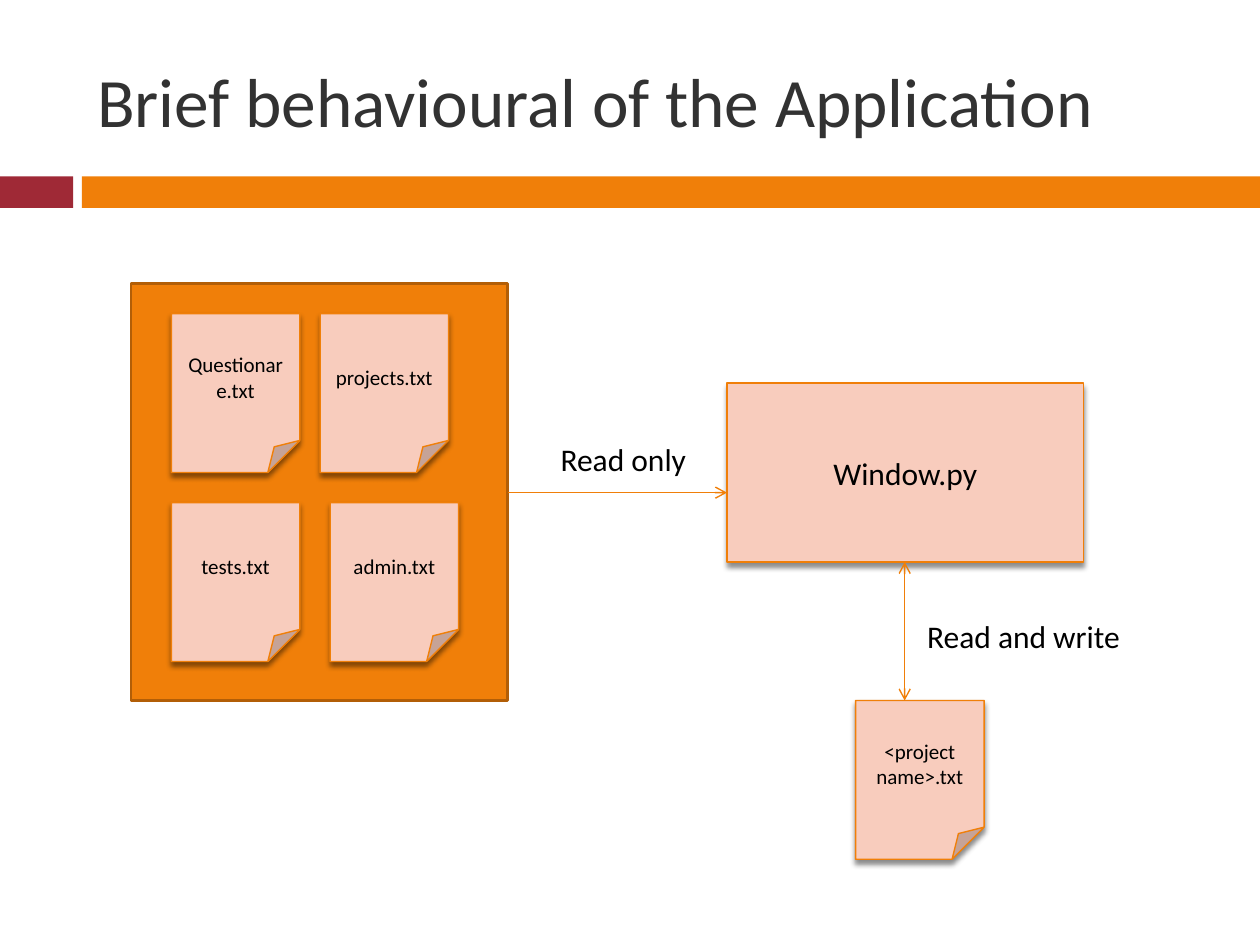
"""Builds the slide that shows which files the application reads and writes."""
import pptx
import pptx.dml.color
import pptx.enum.shapes
import pptx.enum.text
import pptx.oxml
import pptx.oxml.ns
import pptx.util

Inches = pptx.util.Inches
Pt = pptx.util.Pt
SHAPES = pptx.enum.shapes.MSO_SHAPE
ALIGN = pptx.enum.text.PP_ALIGN
ANCHOR = pptx.enum.text.MSO_ANCHOR
AUTO_SIZE = pptx.enum.text.MSO_AUTO_SIZE
NAMESPACE = pptx.oxml.ns.nsdecls("a")

ORANGE, DARK_ORANGE, RED = "F07F09", "B25E07", "9F2936"
PEACH, BLACK, GREY = "F8CCBD", "000000", "323232"
THIN = 0.79
NOTE_WIDTH, NOTE_HEIGHT = 1.02, 1.26


def color(value):
    """Turn a hex string into a colour."""
    return pptx.dml.color.RGBColor.from_string(value)


def apply(target, formats):
    """Set each attribute named in a dict of format values."""
    for name, value in formats.items():
        setattr(target, name, value)


def write(box, text, size, shade=BLACK, align=ALIGN.LEFT, **frame_formats):
    """Put one formatted paragraph into a shape."""
    apply(box.text_frame, frame_formats)
    para = box.text_frame.paragraphs[0]
    para.alignment = align
    span = para.add_run()
    span.text = text
    apply(span.font, {"name": "Calibri", "size": Pt(size)})
    span.font.color.rgb = color(shade)


def add_block(page, place, fill, line=None, width=THIN, kind=SHAPES.RECTANGLE):
    """Add a filled preset shape without a shadow."""
    block = page.shapes.add_shape(kind, *map(Inches, place))
    block.shadow.inherit = False
    block.fill.solid()
    block.fill.fore_color.rgb = color(fill)
    if line:
        block.line.color.rgb = color(line)
        block.line.width = Pt(width)
    else:
        block.line.fill.background()
    return block


def add_shadow(block):
    """Give a shape a soft shadow straight below it."""
    effects = block._element.spPr.find(pptx.oxml.ns.qn("a:effectLst"))
    effects.append(pptx.oxml.parse_xml(
        f'<a:outerShdw {NAMESPACE} blurRad="{Pt(3)}" dist="{Pt(2.4)}" '
        'dir="5400000" algn="ctr" rotWithShape="0"><a:srgbClr val="000000">'
        '<a:alpha val="45000"/></a:srgbClr></a:outerShdw>'))


def add_card(page, text, place, size, kind=SHAPES.RECTANGLE):
    """Add a peach card with centred text and a shadow."""
    card = add_block(page, place, PEACH, ORANGE, kind=kind)
    add_shadow(card)
    write(card, text, size, align=ALIGN.CENTER, word_wrap=True,
          vertical_anchor=ANCHOR.MIDDLE)
    return card


def add_note(page, text, left, top):
    """Add a file drawn as a sheet with a folded corner."""
    note = add_card(page, text, (left, top, NOTE_WIDTH, NOTE_HEIGHT), 12,
                    SHAPES.FOLDED_CORNER)
    geometry = note._element.spPr.find(pptx.oxml.ns.qn("a:prstGeom"))
    for values in list(geometry):
        geometry.remove(values)
    geometry.append(pptx.oxml.parse_xml(
        f'<a:avLst {NAMESPACE}><a:gd name="adj" fmla="val 24900"/></a:avLst>'))


def add_arrow(page, start, end, heads):
    """Add a straight connector with open arrowheads at the named ends."""
    arrow = page.shapes.add_connector(pptx.enum.shapes.MSO_CONNECTOR.STRAIGHT,
                                      *map(Inches, start + end))
    arrow.line.color.rgb = color(ORANGE)
    arrow.line.width = Pt(THIN)
    line = arrow.line._get_or_add_ln()
    for head in heads:
        line.append(pptx.oxml.parse_xml(f'<a:{head} {NAMESPACE} type="arrow"/>'))
    arrow._element.spPr.append(pptx.oxml.parse_xml(f'<a:effectLst {NAMESPACE}/>'))


def add_label(page, text, place):
    """Add a one-line text box beside an arrow."""
    label = page.shapes.add_textbox(*map(Inches, place))
    write(label, text, 18, word_wrap=False, auto_size=AUTO_SIZE.SHAPE_TO_FIT_TEXT)


def add_title(page, text):
    """Place and format the title placeholder."""
    title = page.shapes.title
    apply(title, {"left": Inches(0.67), "top": Inches(0.25),
                  "width": Inches(8.92), "height": Inches(1.08)})
    write(title, text, 39.6, GREY, word_wrap=True, auto_size=AUTO_SIZE.NONE,
          vertical_anchor=ANCHOR.MIDDLE)


def main():
    """Build and save the deck."""
    deck = pptx.Presentation()
    apply(deck, {"slide_width": Inches(10), "slide_height": Inches(7.5)})
    page = deck.slides.add_slide(deck.slide_layouts[5])

    add_block(page, (0, 1.4, 0.58, 0.25), RED)
    add_block(page, (0.65, 1.4, 9.35, 0.25), ORANGE)
    add_title(page, "Brief behavioural of the Application")

    add_block(page, (1.04, 2.25, 2.99, 3.31), ORANGE, DARK_ORANGE, 1.5)
    add_card(page, "Window.py", (5.77, 3.04, 2.83, 1.42), 18)
    for text, left, top in (("Questionare.txt", 1.36, 2.49),
                            ("projects.txt", 2.54, 2.49),
                            ("tests.txt", 1.36, 3.99),
                            ("admin.txt", 2.62, 3.99),
                            ("<project name>.txt", 6.79, 5.56)):
        add_note(page, text, left, top)

    add_arrow(page, (4.03, 3.91), (5.77, 3.91), ["tailEnd"])
    add_label(page, "Read only", (4.35, 3.44, 1.21, 0.4))
    add_arrow(page, (7.18, 4.46), (7.18, 5.56), ["headEnd", "tailEnd"])
    add_label(page, "Read and write", (7.26, 4.85, 1.75, 0.4))
    deck.save("out.pptx")


if __name__ == "__main__":
    main()
